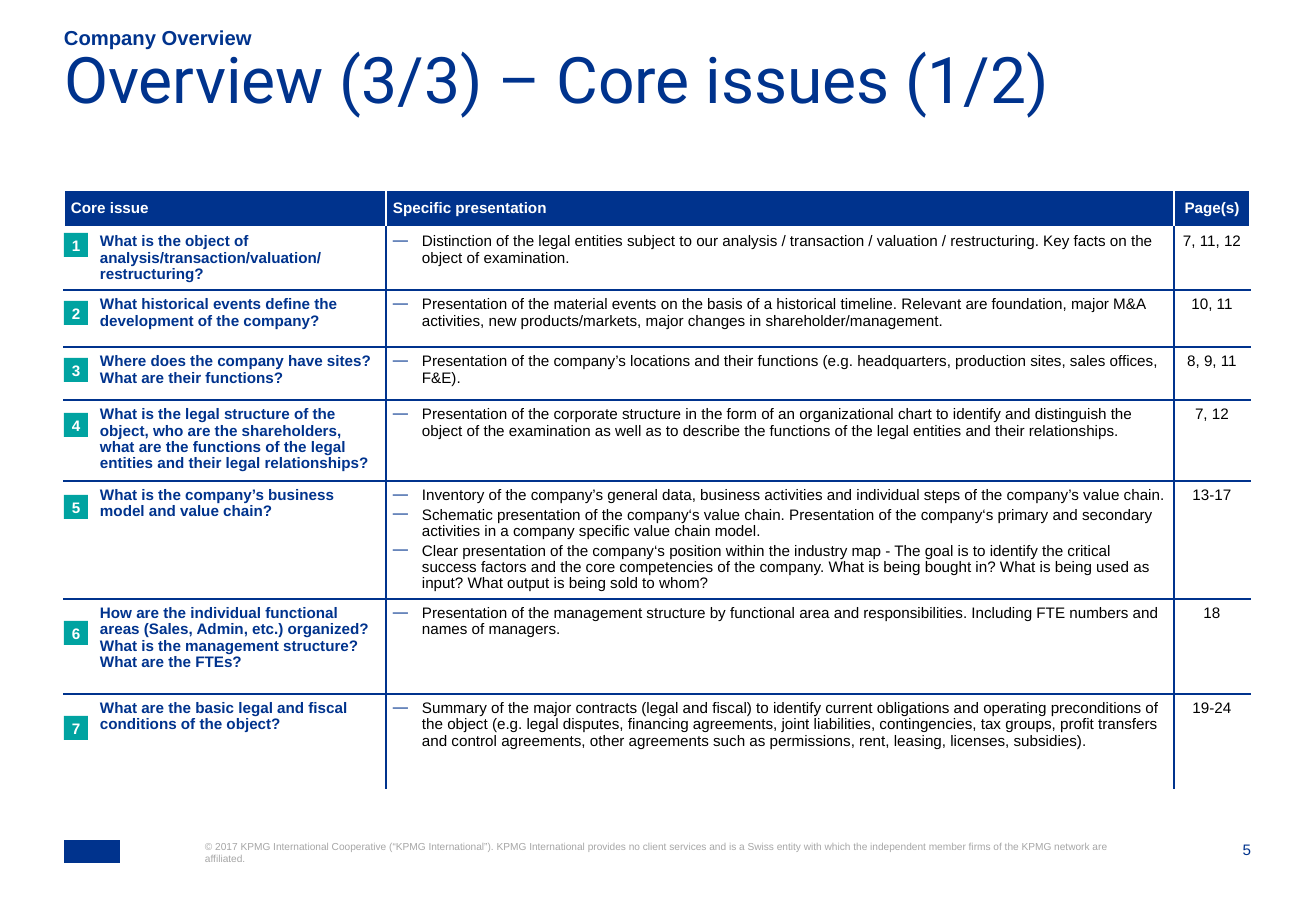
"""Build the company overview slide with its table of core issues."""
import pptx
import pptx.dml.color
import pptx.enum.shapes
import pptx.enum.text
import pptx.util
from lxml import etree

COLOURS = {"navy": "00338D", "teal": "00A3A1", "white": "FFFFFF", "black": "000000", "grey": "A6A6A6"}
SCALE = 7526
SLIDE_SIZE = (1316, 911)
LEFT = 64
TABLE_TOP = 190
COLUMN_WIDTHS = (322, 788, 76)
HEADER_HEIGHT = 37
BADGE_SIZE = 24
CELL_MARGIN = 7
INDENT = 29
BULLET = "—"
SECTION = "Company Overview"
TITLE = "Overview (3/3) – Core issues (1/2)"
PAGE_NUMBER = "5"
COPYRIGHT = (
    "© 2017 KPMG International Cooperative (“KPMG International”). KPMG International provides "
    "no client services and is a Swiss entity with which the independent member firms of the "
    "KPMG network are affiliated."
)
HEADINGS = ("Core issue", "Specific presentation", "Page(s)")
# Each issue: row height, badge offset, question, presentation points, pages
ISSUES = [
    (63, 6, "What is the object of analysis/transaction/valuation/\nrestructuring?",
     ["Distinction of the legal entities subject to our analysis / transaction / valuation / "
      "restructuring. Key facts on the object of examination."], "7, 11, 12"),
    (57, 11, "What historical events define the development of the company?",
     ["Presentation of the material events on the basis of a historical timeline. Relevant are "
      "foundation, major M&A activities, new products/markets, major changes in "
      "shareholder/management."], "10, 11"),
    (53, 11, "Where does the company have sites? What are their functions?",
     ["Presentation of the company’s locations and their functions (e.g. headquarters, "
      "production sites, sales offices, F&E)."], "8, 9, 11"),
    (81, 13, "What is the legal structure of the object, who are the shareholders, what are the "
     "functions of the legal entities and their legal relationships?",
     ["Presentation of the corporate structure in the form of an organizational chart to "
      "identify and distinguish the object of the examination as well as to describe the "
      "functions of the legal entities and their relationships."], "7, 12"),
    (118, 14, "What is the company’s business model and value chain?",
     ["Inventory of the company’s general data, business activities and individual steps of "
      "the company’s value chain.",
      "Schematic presentation of the company‘s value chain. Presentation of the company‘s "
      "primary and secondary activities in a company specific value chain model.",
      "Clear presentation of the company‘s position within the industry map - The goal is to "
      "identify the critical success factors and the core competencies of the company. What is "
      "being bought in? What is being used as input? What output is being sold to whom?"],
     "13-17"),
    (95, 22, "How are the individual functional areas (Sales, Admin, etc.) organized? What is the "
     "management structure? What are the FTEs?",
     ["Presentation of the management structure by functional area and responsibilities. "
      "Including FTE numbers and names of managers."], "18"),
    (95, 22, "What are the basic legal and fiscal conditions of the object?",
     ["Summary of the major contracts (legal and fiscal) to identify current obligations and "
      "operating preconditions of the object (e.g. legal disputes, financing agreements, joint "
      "liabilities, contingencies, tax groups, profit transfers and control agreements, other "
      "agreements such as permissions, rent, leasing, licenses, subsidies)."], "19-24"),
]

ALIGN = pptx.enum.text.PP_ALIGN
ANCHOR = pptx.enum.text.MSO_ANCHOR
RECTANGLE = pptx.enum.shapes.MSO_SHAPE.RECTANGLE


def px(length):
    return pptx.util.Emu(length * SCALE)


def rgb(name):
    return pptx.dml.color.RGBColor.from_string(COLOURS[name])


def write(paragraph, text, size, colour, bold=False, align=ALIGN.LEFT, font="Arial"):
    paragraph.alignment = align
    for number, line in enumerate(text.split("\n")):
        if number:
            paragraph.add_line_break()
        run = paragraph.add_run()
        run.text = line
        run.font.size = pptx.util.Pt(size)
        run.font.name = font
        run.font.bold = bold
        run.font.color.rgb = rgb(colour)


def prepare(frame, anchor=ANCHOR.TOP, wrap=True):
    frame.margin_left = frame.margin_top = frame.margin_right = frame.margin_bottom = 0
    frame.vertical_anchor = anchor
    frame.word_wrap = wrap
    frame.auto_size = pptx.enum.text.MSO_AUTO_SIZE.NONE
    return frame.paragraphs[0]


def add_label(slide, box, text, size, colour, anchor=ANCHOR.TOP, **style):
    label = slide.shapes.add_textbox(*map(px, box))
    write(prepare(label.text_frame, anchor), text, size, colour, **style)


def add_block(slide, box, colour):
    block = slide.shapes.add_shape(RECTANGLE, *map(px, box))
    block.shadow.inherit = False
    block.fill.solid()
    block.fill.fore_color.rgb = rgb(colour)
    block.line.fill.background()
    return block


def add_child(parent, tag, **attributes):
    return etree.SubElement(parent, pptx.oxml.ns.qn(tag), attributes)


def style_cell(cell, fill, borders):
    cell.margin_left = cell.margin_top = cell.margin_right = cell.margin_bottom = px(CELL_MARGIN)
    properties = cell._tc.get_or_add_tcPr()
    for side, colour in zip("LRTB", borders):
        line = add_child(properties, f"a:ln{side}", w="12700")
        if colour:
            add_child(add_child(line, "a:solidFill"), "a:srgbClr", val=COLOURS[colour])
        else:
            add_child(line, "a:noFill")
    cell.fill.solid()
    cell.fill.fore_color.rgb = rgb(fill)


def fill_cell(cell, texts, colour, indent=0, bullet=False, space_after=2, **style):
    for number, text in enumerate(texts):
        paragraph = cell.text_frame.add_paragraph() if number else cell.text_frame.paragraphs[0]
        properties = paragraph._p.get_or_add_pPr()
        properties.set("marL", str(px(indent)))
        properties.set("indent", str(px(-indent if bullet else 0)))
        if bullet:
            add_child(add_child(properties, "a:buClr"), "a:srgbClr", val=COLOURS["navy"])
            add_child(properties, "a:buChar", char=BULLET)
        paragraph.line_spacing = 0.95
        paragraph.space_after = pptx.util.Pt(space_after)
        write(paragraph, text, 9, colour, **style)


def add_issue_table(slide):
    heights = [HEADER_HEIGHT] + [issue[0] for issue in ISSUES]
    table = slide.shapes.add_table(
        len(heights), len(COLUMN_WIDTHS), px(LEFT), px(TABLE_TOP),
        px(sum(COLUMN_WIDTHS)), px(sum(heights))).table
    table.first_row = table.horz_banding = False
    for column, width in zip(table.columns, COLUMN_WIDTHS):
        column.width = px(width)
    for row, height in zip(table.rows, heights):
        row.height = px(height)

    last_column = len(COLUMN_WIDTHS) - 1
    for column, heading in enumerate(HEADINGS):
        cell = table.cell(0, column)
        style_cell(cell, "navy", ["white"] * 4)
        cell.vertical_anchor = ANCHOR.MIDDLE
        fill_cell(cell, [heading], "white", bold=True, space_after=0,
                  align=ALIGN.CENTER if column == last_column else ALIGN.LEFT)

    for row, (_, _, question, points, pages) in enumerate(ISSUES, 1):
        for column in range(len(COLUMN_WIDTHS)):
            style_cell(table.cell(row, column), "white", (
                "navy" if column else "white",
                "navy" if column < last_column else "white",
                "navy" if row > 1 else "white",
                "navy" if row < len(ISSUES) else None))
        fill_cell(table.cell(row, 0), [question], "navy", indent=INDENT, bold=True)
        fill_cell(table.cell(row, 1), points, "black", indent=INDENT, bullet=True)
        fill_cell(table.cell(row, 2), [pages], "black", align=ALIGN.CENTER)


def add_badges(slide):
    row_top = TABLE_TOP + HEADER_HEIGHT
    for number, (height, offset, *_) in enumerate(ISSUES, 1):
        badge = add_block(slide, (LEFT, row_top + offset, BADGE_SIZE, BADGE_SIZE), "teal")
        write(prepare(badge.text_frame, ANCHOR.MIDDLE, wrap=False), str(number), 9, "white",
              bold=True, align=ALIGN.CENTER)
        row_top += height


def main():
    deck = pptx.Presentation()
    deck.slide_width, deck.slide_height = map(px, SLIDE_SIZE)
    slide = deck.slides.add_slide(deck.slide_layouts[5])

    title = slide.shapes.title
    title.left, title.top, title.width, title.height = map(px, (LEFT, 60, 1186, 96))
    heading = prepare(title.text_frame)
    heading.line_spacing = 0.7
    write(heading, TITLE, 38, "navy", font="Roboto")

    add_label(slide, (LEFT, 27, 1142, 23), SECTION, 12, "navy", ANCHOR.BOTTOM, bold=True)
    add_issue_table(slide)
    add_badges(slide)
    add_block(slide, (LEFT, 840, 56, 23), "navy")
    add_label(slide, (205, 840, 910, 50), COPYRIGHT, 6, "grey")
    add_label(slide, (1199, 840, 52, 19), PAGE_NUMBER, 9, "navy", align=ALIGN.RIGHT)
    deck.save("out.pptx")


if __name__ == "__main__":
    main()
